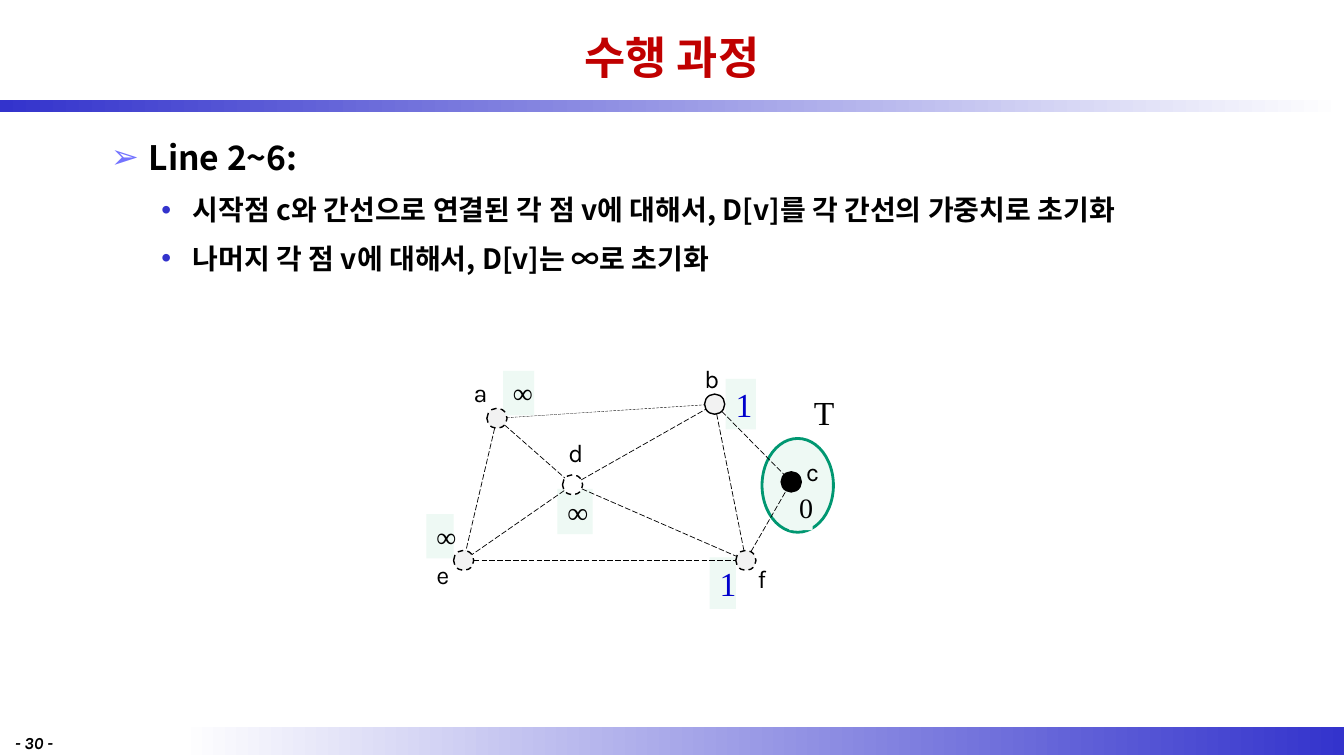
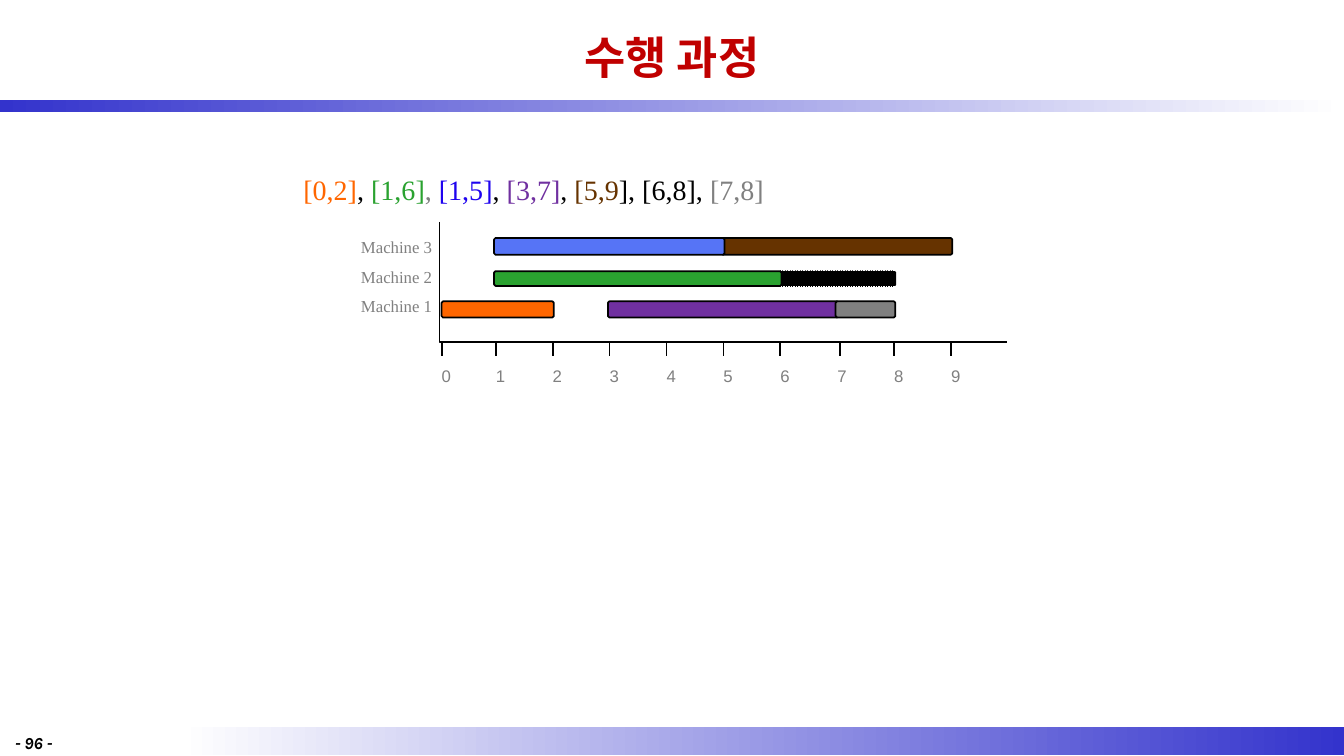
from math import hypot

from lxml.etree import SubElement as Sub
from pptx import Presentation
from pptx.dml.color import RGBColor as RGB
from pptx.enum.dml import MSO_LINE as Dash
from pptx.enum.shapes import MSO_CONNECTOR as Conn, MSO_SHAPE as Kind
from pptx.enum.text import MSO_ANCHOR as Anchor, MSO_AUTO_SIZE as Fit, PP_ALIGN as Align
from pptx.oxml.ns import qn
from pptx.util import Pt

BLACK, WHITE = RGB(0, 0, 0), RGB(255, 255, 255)
RED, NAVY = RGB(0xC0, 0, 0), RGB(0x33, 0x33, 0xCC)
LILAC, INK = RGB(0x73, 0x73, 0xFF), RGB(0, 0, 0xCC)
MINT, TEAL = RGB(0xEE, 0xF9, 0xF4), RGB(0, 0x97, 0x71)
PALE, GRAY = RGB(0xF2, 0xF2, 0xF2), RGB(0x80, 0x80, 0x80)
ORANGE, GREEN = RGB(0xFF, 0x66, 0), RGB(0x2A, 0xA2, 0x30)
BLUE, SKY = RGB(0x1F, 0x03, 0xEF), RGB(0x56, 0x74, 0xF6)
PLUM, BROWN = RGB(0x70, 0x30, 0xA0), RGB(0x66, 0x33, 0)
SANS, SERIF, LABEL, DIGIT = "Noto Sans CJK KR", "Times New Roman", "Karla", "Arial"
WIDE, HIGH = 960, 540


class Deck:
    """Holds the shared style and the current slide."""

    def __init__(self):
        self.prs = Presentation()
        self.prs.slide_width, self.prs.slide_height = Pt(WIDE), Pt(HIGH)

    def page(self, title, num, body=False):
        self.slide = self.prs.slides.add_slide(self.prs.slide_layouts[1 if body else 5])
        self.shapes = self.slide.shapes
        self.band(128, 519, WIDE - 128, 20.5, WHITE, NAVY)
        self.band(0, 71.3, WIDE, 8.7, NAVY, WHITE)
        head = self.shapes.title
        self.place(head, 72, 3.6, 816, 74)
        frame = head.text_frame
        frame.text = title
        frame.vertical_anchor = Anchor.MIDDLE
        frame.paragraphs[0].alignment = Align.CENTER
        self.style(frame.paragraphs[0].runs[0], 32, SANS, RED, bold=True)
        self.text(3.6, 519.8, 68, 17.5, f"- {num} -", 12, LABEL, bold=True, slant=True)

    def place(self, shape, x, y, w, h):
        shape.left, shape.top, shape.width, shape.height = Pt(x), Pt(y), Pt(w), Pt(h)

    def style(self, run, size, face, color, bold=False, slant=False):
        font = run.font
        font.size, font.name, font.bold, font.italic = Pt(size), face, bold, slant
        font.color.rgb = color
        Sub(run._r.get_or_add_rPr(), qn("a:ea"), typeface=face)

    def paint(self, shape, fill, line, width, dash=None):
        shape.shadow.inherit = False
        if fill is None:
            shape.fill.background()
        else:
            shape.fill.solid()
            shape.fill.fore_color.rgb = fill
        self.stroke(shape.line, line, width, dash)

    def stroke(self, line, color, width, dash):
        line.color.rgb, line.width = color, Pt(width)
        if dash:
            line.dash_style = dash

    def band(self, x, y, w, h, first, last):
        bar = self.shapes.add_shape(Kind.RECTANGLE, Pt(x), Pt(y), Pt(w), Pt(h))
        bar.shadow.inherit = False
        bar.line.fill.background()
        bar.fill.gradient()
        bar.fill.gradient_angle = 0
        for stop, color in zip(bar.fill.gradient_stops, (first, last)):
            stop.color.rgb = color

    def list(self, items):
        body = self.slide.placeholders[1]
        self.place(body, 72, 88.6, 816, 430.4)
        frame = body.text_frame
        frame.text = "\n".join(words for _, words in items)
        frame.auto_size = Fit.NONE
        looks = [(24, 27, 27, "➢", LILAC), (20, 58.5, 22.5, "•", NAVY)]
        for para, (level, _) in zip(frame.paragraphs, items):
            size, left, hang, mark, tint = looks[level]
            para.level, para.line_spacing = level, 1.2
            para.space_before, para.space_after = Pt(0), Pt(6)
            props = para._p.get_or_add_pPr()
            props.set("marL", str(Pt(left)))
            props.set("indent", str(-Pt(hang)))
            Sub(Sub(props, qn("a:buClr")), qn("a:srgbClr"), val=str(tint))
            Sub(props, qn("a:buChar"), char=mark)
            self.style(para.runs[0], size, SANS, BLACK, bold=True)

    def text(self, x, y, w, h, words, size, face, color=BLACK, fill=None,
             align=Align.LEFT, pad=True, indent=0, space=None, **looks):
        box = self.shapes.add_textbox(Pt(x), Pt(y), Pt(w), Pt(h))
        if fill is not None:
            box.fill.solid()
            box.fill.fore_color.rgb = fill
        frame = box.text_frame
        frame.word_wrap = True
        if not pad:
            frame.margin_left = frame.margin_right = 0
            frame.margin_top = frame.margin_bottom = 0
        para = frame.paragraphs[0]
        para.alignment, para.line_spacing = align, space
        if indent:
            para._p.get_or_add_pPr().set("marL", str(Pt(indent)))
        for part, tint in [(words, color)] if isinstance(words, str) else words:
            run = para.add_run()
            run.text = part
            self.style(run, size, face, tint, **looks)

    def oval(self, x, y, w, h, fill, line, width, dash=None):
        shape = self.shapes.add_shape(Kind.OVAL, Pt(x), Pt(y), Pt(w), Pt(h))
        self.paint(shape, fill, line, width, dash)

    def line(self, x1, y1, x2, y2, color=BLACK, width=1.25, dash=None):
        link = self.shapes.add_connector(Conn.STRAIGHT, Pt(x1), Pt(y1), Pt(x2), Pt(y2))
        self.stroke(link.line, color, width, dash)
        Sub(link._element.spPr, qn("a:effectLst"))

    def shape(self, points, fill=None, close=True):
        start, *rest = [(Pt(x), Pt(y)) for x, y in points]
        path = self.shapes.build_freeform(*start)
        path.add_line_segments(rest, close=close)
        self.paint(path.convert_to_shape(), fill, BLACK, 1.25)

    def bar(self, x1, y1, x2, y2, fill, cut=1):
        self.shape([(x1 + cut, y2), (x2 - cut, y2), (x2, y2 - cut), (x2, y1 + cut),
                    (x2 - cut, y1), (x1 + cut, y1), (x1, y1 + cut), (x1, y2 - cut)], fill)


def graph(deck):
    deck.page("수행 과정", 30, body=True)
    deck.list([
        (0, "Line 2~6:"),
        (1, "시작점 c와 간선으로 연결된 각 점 v에 대해서, D[v]를 각 간선의 가중치로 초기화"),
        (1, "나머지 각 점 v에 대해서, D[v]는 ∞로 초기화"),
    ])
    deck.oval(544.3, 313.2, 51, 67, MINT, TEAL, 2)
    for x, y, w, h, cost, size, color in [
        (359.3, 265, 22.3, 31.7, "∞", 20, BLACK),
        (518.4, 270.7, 21.6, 36, "1", 24, INK),
        (563.8, 347, 16.6, 31.7, "0", 20, BLACK),
        (506.9, 398.2, 18.7, 36.7, "1", 24, INK),
        (398.2, 349.2, 25.2, 32.4, "∞", 21, BLACK),
        (304.6, 367.2, 19.4, 31.7, "∞", 20, BLACK),
    ]:
        deck.text(x, y, w, h, cost, size, SERIF, color, MINT, Align.CENTER)

    rad = 7.2
    nodes = {
        "a": (355, 298.8, PALE, Dash.DASH, 331.2, 265.7),
        "b": (510.5, 288.7, PALE, None, 496, 256.3),
        "c": (565.2, 344.2, BLACK, None, 568.8, 322.6),
        "d": (409, 346.3, WHITE, Dash.DASH, 398.9, 308.9),
        "e": (331.2, 400.3, PALE, Dash.DASH, 304.6, 396),
        "f": (532.8, 400.3, PALE, Dash.DASH, 534.2, 398.9),
    }
    for name, (x, y, fill, dash, left, top) in nodes.items():
        deck.oval(x - rad, y - rad, 2 * rad, 2 * rad, fill, BLACK, 1, dash)
        deck.text(left, top, 24.5, 28.8, name, 18, LABEL)
    for one, two in "ad de ae df ef ab db bc fc bf".split():
        x1, y1, x2, y2 = *nodes[one][:2], *nodes[two][:2]
        span = hypot(x2 - x1, y2 - y1)
        dx, dy = rad * (x2 - x1) / span, rad * (y2 - y1) / span
        width = 0.25 if one + two == "ab" else 0.5
        deck.line(x1 + dx, y1 + dy, x2 - dx, y2 - dy, BLACK, width, Dash.LONG_DASH)
    deck.text(568.8, 276.5, 39.6, 36, "T", 24, SERIF, align=Align.CENTER)


def chart(deck):
    deck.page("수행 과정", 96)
    deck.text(183.6, 118.8, 442, 28, [
        ("[0,2]", ORANGE), (", ", BLACK), ("[1,6]", GREEN), (",", GRAY),
        (" [1,5]", BLUE), (", ", BLACK), ("[3,7]", PLUM), (", ", BLACK),
        ("[5,9", BROWN), ("], [6,8], ", BLACK), ("[7,8]", GRAY),
    ], 20, SERIF, indent=26, space=1.05)

    rows = {1: (215.3, 11.5, 211), 2: (193.7, 10.6, 190.8), 3: (170, 12, 169.2)}
    base, zero = 244.2, 315.4

    def spot(hour):
        return 313.5 + 40.65 * hour

    def task(row, start, end, color):
        top, high, _ = rows[row]
        deck.bar(max(spot(start) - 1.2, zero), top, spot(end) + 0.8, top + high, color)

    task(2, 6, 8, BLACK)
    for step in range(6):
        y = 170 + 11.4 * step
        deck.line(316.5, y, 684.5, y, WHITE, 0.25, Dash.DASH)
    for row, start, end, color in [
        (2, 1, 6, GREEN), (1, 3, 7, PLUM), (3, 5, 9, BROWN),
        (1, 7, 8, GRAY), (1, 0, 2, ORANGE), (3, 1, 5, SKY),
    ]:
        task(row, start, end, color)
    for row, (_, _, top) in rows.items():
        deck.text(257.8, top, 54, 14.4, f"Machine {row}", 12, SERIF, GRAY, pad=False)
    deck.shape([(314, 158.6), (314, base), (719.3, base)], close=False)
    for hour in range(10):
        x = {0: 316, 7: 599.8}.get(hour, spot(hour))
        deck.line(x, base + 10, x, base)
        deck.text(max(spot(hour), zero), 261.4, 12, 14.4, str(hour), 12, DIGIT, GRAY, pad=False)


def main():
    deck = Deck()
    graph(deck)
    chart(deck)
    deck.prs.save("out.pptx")


if __name__ == "__main__":
    main()
